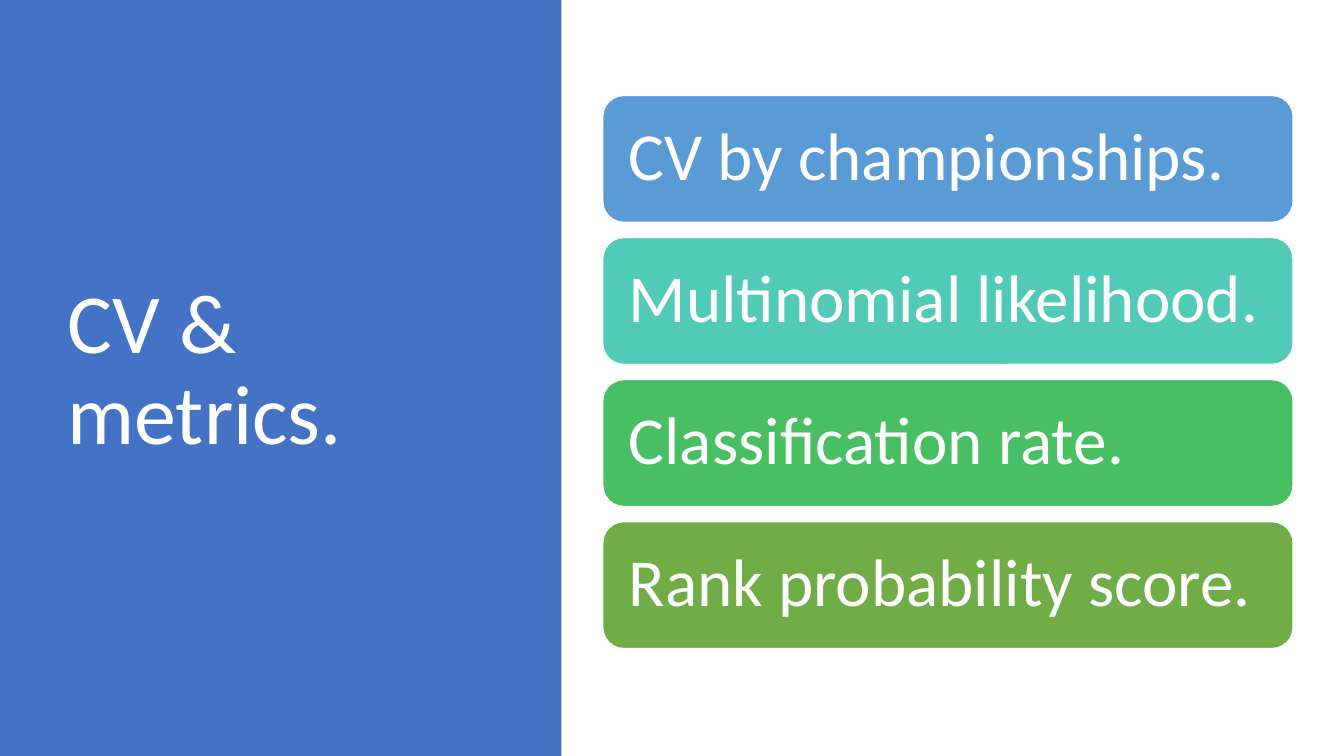
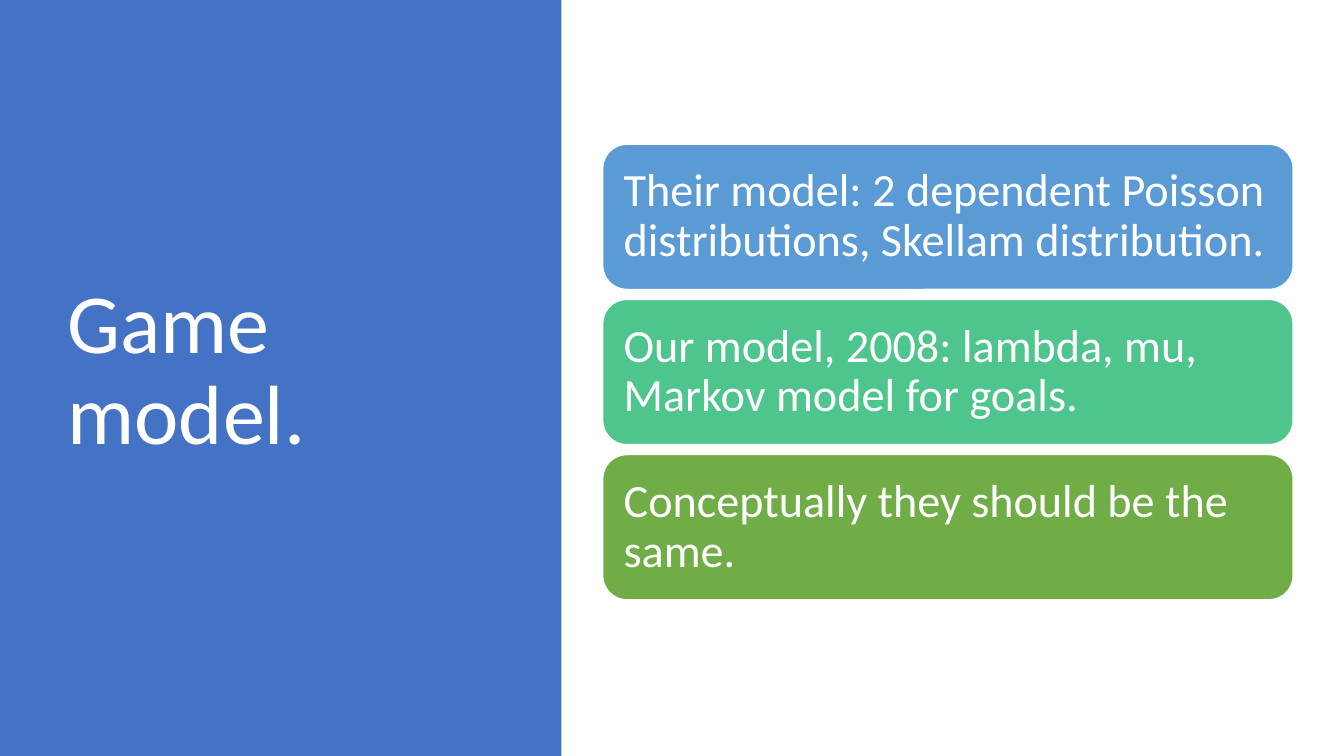
from pptx import Presentation
from pptx.dml.color import RGBColor
from pptx.enum.shapes import MSO_SHAPE as Shape
from pptx.enum.text import MSO_ANCHOR as Anchor, MSO_AUTO_SIZE as AutoSize, PP_ALIGN as Align
from pptx.util import Cm, Pt

SLIDES = [
    {
        "title": "CV & metrics.",
        "cards": [
            ("CV by championships.", "blue"),
            ("Multinomial likelihood.", "turquoise"),
            ("Classification rate.", "emerald"),
            ("Rank probability score.", "green"),
        ],
        "size": 48, "height": 3.2, "gap": 0.38, "inset": 0.5,
    },
    {
        "title": "Game model.",
        "cards": [
            ("Their model: 2 dependent Poisson distributions, Skellam distribution.", "blue"),
            ("Our model, 2008: lambda, mu, Markov model for goals.", "mint"),
            ("Conceptually they should be the same.", "green"),
        ],
        "size": 33, "height": 3.66, "gap": 0.25, "inset": 0.35,
    },
]

COLORS = {
    "band": "4472C4",
    "white": "FFFFFF",
    "blue": "5B9BD5",
    "turquoise": "52CAB8",
    "emerald": "49BF64",
    "mint": "4DC58D",
    "green": "70AD47",
}
FONT = "Calibri"
TITLE_SIZE = 60
SLIDE_WIDTH, SLIDE_HEIGHT = 33.87, 19.05
BAND_WIDTH = 14.15
TITLE_LEFT, TITLE_TOP, TITLE_WIDTH, TITLE_HEIGHT = 1.45, 1.73, 10.57, 15.29
CARD_LEFT, CARD_WIDTH = 15.19, 17.4
MIDDLE = TITLE_TOP + TITLE_HEIGHT / 2


def color(name):
    return RGBColor.from_string(COLORS[name])


def add_block(slide, shape_type, left, top, width, height, fill):
    block = slide.shapes.add_shape(shape_type, Cm(left), Cm(top), Cm(width), Cm(height))
    block.shadow.inherit = False
    block.fill.solid()
    block.fill.fore_color.rgb = color(fill)
    block.line.fill.background()
    return block


def write(shape, text, size):
    """Set white, left-aligned, vertically centred text."""
    frame = shape.text_frame
    frame.text = text
    frame.word_wrap = True
    frame.auto_size = AutoSize.NONE
    frame.vertical_anchor = Anchor.MIDDLE
    para = frame.paragraphs[0]
    para.alignment = Align.LEFT
    para.line_spacing = 0.9
    para.space_before = Pt(0)
    font = para.runs[0].font
    font.name, font.size = FONT, Pt(size)
    font.color.rgb = color("white")
    return frame


def add_title(slide, text):
    title = slide.shapes.title
    title.left, title.top = Cm(TITLE_LEFT), Cm(TITLE_TOP)
    title.width, title.height = Cm(TITLE_WIDTH), Cm(TITLE_HEIGHT)
    write(title, text, TITLE_SIZE)
    band = add_block(slide, Shape.RECTANGLE, 0, 0, BAND_WIDTH, SLIDE_HEIGHT, "band")
    title.element.addprevious(band.element)  # the band goes behind the title


def add_cards(slide, cards, size, height, gap, inset):
    """Stack the cards, centred on the middle of the title."""
    step = height + gap
    top = MIDDLE - (len(cards) * step - gap) / 2
    for index, (text, fill) in enumerate(cards):
        card = add_block(slide, Shape.ROUNDED_RECTANGLE, CARD_LEFT, top + index * step,
                         CARD_WIDTH, height, fill)
        card.line.color.rgb = color("white")
        card.line.width = Pt(1)
        frame = write(card, text, size)
        frame.margin_left = frame.margin_right = Cm(inset)
        frame.margin_top = frame.margin_bottom = Cm(inset)


def main():
    deck = Presentation()
    deck.slide_width, deck.slide_height = Cm(SLIDE_WIDTH), Cm(SLIDE_HEIGHT)
    title_only = deck.slide_layouts.get_by_name("Title Only")
    for page in SLIDES:
        slide = deck.slides.add_slide(title_only)
        add_title(slide, page["title"])
        add_cards(slide, page["cards"], page["size"], page["height"], page["gap"], page["inset"])
    deck.save("out.pptx")


if __name__ == "__main__":
    main()
